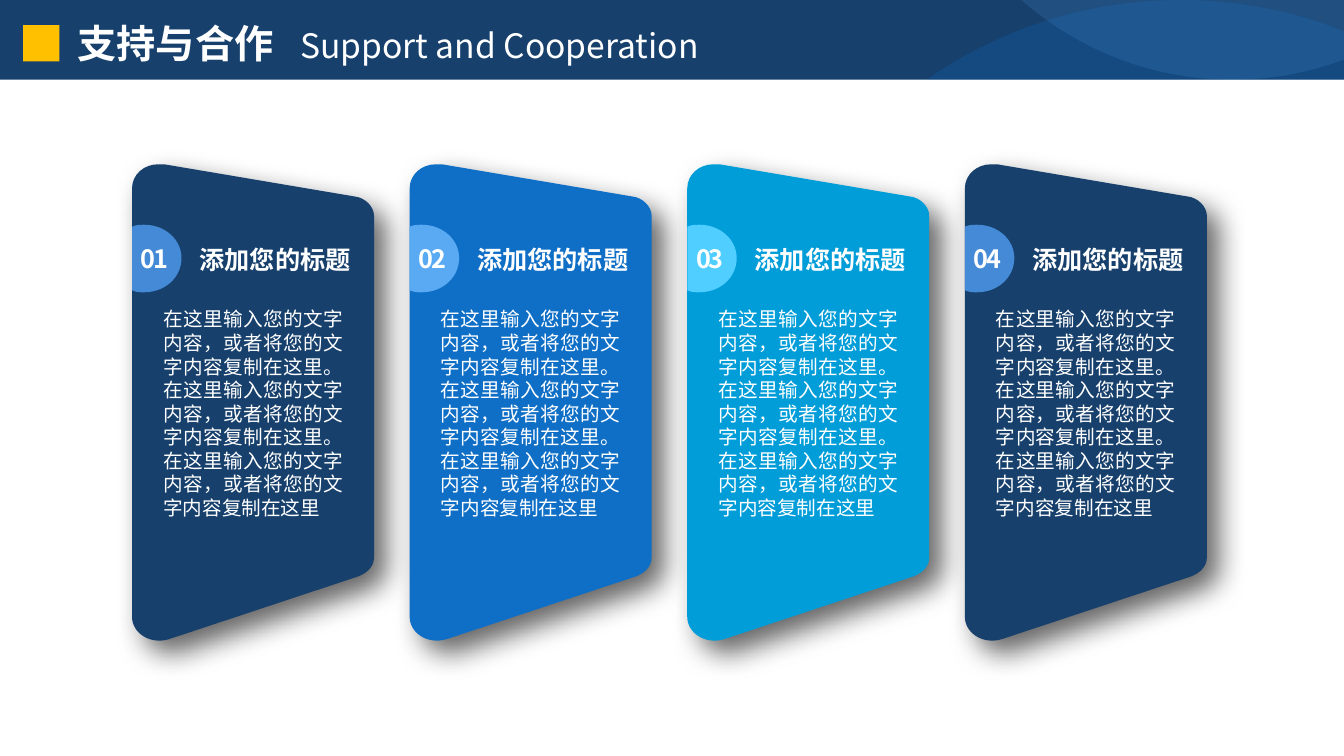
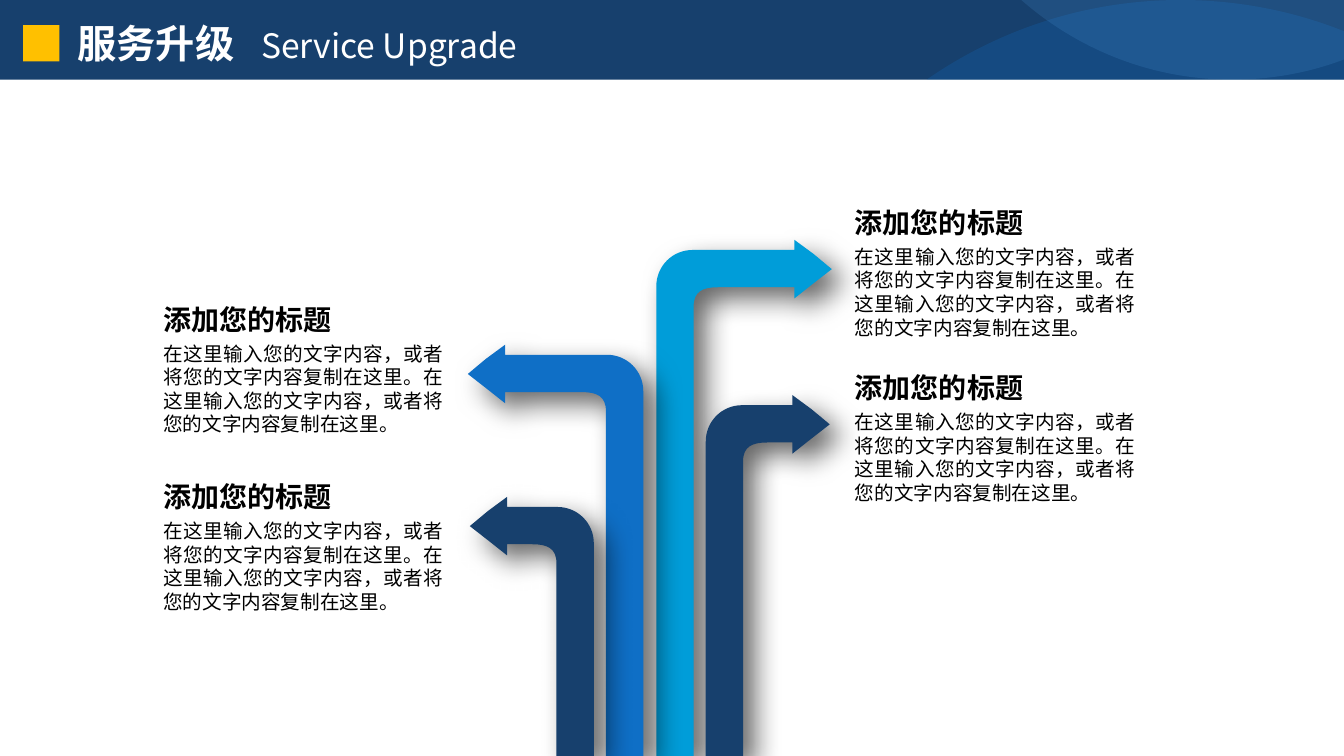
"""Build two slides: a row of support cards and a set of service arrows."""
import lxml.etree
import pptx
import pptx.dml.color
import pptx.enum.shapes
import pptx.enum.text
import pptx.oxml.ns
import pptx.util

Inches = pptx.util.Inches
Pt = pptx.util.Pt
qn = pptx.oxml.ns.qn
ALIGN = pptx.enum.text.PP_ALIGN
RECTANGLE = pptx.enum.shapes.MSO_SHAPE.RECTANGLE
FONT = "Noto Sans CJK SC"
COLORS = {
    "navy": "17406D", "blue": "0F6FC6", "cyan": "009DD9", "gold": "FFC000",
    "navy_badge": "448AD7", "blue_badge": "59AAF2", "cyan_badge": "4FCEFF",
    "white": "FFFFFF", "black": "000000",
}
WIDTH, HEIGHT = 13.33, 7.5
BAND_HEIGHT = 0.79
HEADING = "添加您的标题"
SENTENCE = "在这里输入您的文字内容，或者将您的文字内容复制在这里。"
FIRST_CARD, LAST_CARD, CARD_TOP = 1.31, 9.57, 1.63
CARDS = ["navy", "blue", "cyan", "navy"]
ARROWS = [
    (6.51, 2.38, 1.74, 1, "cyan"),
    (7, 3.92, 1.23, 1, "navy"),
    (6.38, 3.42, 1.74, -1, "blue"),
    (5.89, 4.93, 1.23, -1, "navy"),
]
TOPICS = [(8.38, 1.99), (8.38, 3.63), (1.52, 2.95), (1.52, 4.71)]

BAND_HILL = [(11.71, 0), (12.28, 0, 12.83, 0.11, 13.33, 0.31),
             (13.33, 0.79), (9.19, 0.79), (9.91, 0.29, 10.78, 0, 11.71, 0)]
BAND_BOWL = [(13.33, 0), (13.33, 0.59), (12.99, 0.72, 12.61, 0.79, 12.22, 0.79),
             (11.42, 0.79, 10.69, 0.49, 10.13, 0), (13.33, 0)]
CARD_PANEL = [(0.26, 0), (0.28, 0, 0.3, 0, 0.32, 0),
              (2.21, 0.32), (2.31, 0.33, 2.4, 0.42, 2.4, 0.51),
              (2.4, 1.17), (2.4, 3.24), (2.4, 3.9), (2.4, 4, 2.32, 4.06, 2.24, 4.09),
              (0.37, 4.71), (0.18, 4.77, 0, 4.65, 0, 4.49),
              (0, 3.83), (0, 0.9), (0, 0.24), (0, 0.1, 0.12, 0, 0.26, 0)]
CARD_BADGE = [(0.12, 1.27), (0.08, 1.27, 0.04, 1.27, 0, 1.25),
              (0, 0.62), (0.04, 0.6, 0.08, 0.6, 0.12, 0.6),
              (0.33, 0.6, 0.49, 0.75, 0.49, 0.93), (0.49, 1.12, 0.33, 1.27, 0.12, 1.27)]


def rgb(color):
    """Return the named colour."""
    return pptx.dml.color.RGBColor.from_string(COLORS[color])


def add_xml(parent, tag, **attributes):
    """Append a drawing element and return it."""
    return lxml.etree.SubElement(parent, qn(tag), attributes)


def paint(shape, color, opacity=100, shadow=False):
    """Fill a shape without outline, optionally see-through or shadowed."""
    shape.fill.solid()
    shape.fill.fore_color.rgb = rgb(color)
    shape.line.fill.background()
    shape.shadow.inherit = False
    properties = shape.element.spPr
    if opacity < 100:
        solid = properties.find(".//" + qn("a:srgbClr"))
        add_xml(solid, "a:alpha", val=str(opacity * 1000))
    if shadow:
        effects = properties.find(qn("a:effectLst"))
        cast = add_xml(effects, "a:outerShdw", blurRad=str(Pt(20)), dist=str(Pt(12)),
                       dir="2700000", algn="tl", rotWithShape="0")
        tint = add_xml(cast, "a:srgbClr", val=COLORS["black"])
        add_xml(tint, "a:alpha", val="60000")


def add_rectangle(shapes, left, top, width, height, color):
    """Add a plain rectangle."""
    paint(shapes.add_shape(RECTANGLE, Inches(left), Inches(top),
                           Inches(width), Inches(height)), color)


def add_outline(shapes, outline, color, left=0, top=0, side=1, **look):
    """Add an outline of lines and cubic curves, mirrored when side is -1."""
    parts = [[(Inches(left + side * x), Inches(top + y)) for x, y in zip(part[::2], part[1::2])]
             for part in outline]
    builder = shapes.build_freeform(*parts[0][0])
    builder.add_line_segments([part[-1] for part in parts[1:]], close=True)
    shape = builder.convert_to_shape()
    segments = list(shape.element.spPr.find(".//" + qn("a:path")))
    for segment, part in zip(segments, parts):
        if len(part) == 3:
            segment.clear()
            segment.tag = qn("a:cubicBezTo")
            for x, y in part:
                add_xml(segment, "a:pt", x=str(x - shape.left), y=str(y - shape.top))
    paint(shape, color, **look)


def style_run(run, size, color, bold=False):
    """Set the font of a run for Latin and Chinese text."""
    run.font.size = Pt(size)
    run.font.bold = bold
    run.font.color.rgb = rgb(color)
    run.font.name = FONT
    add_xml(run.font._element, "a:ea", typeface=FONT)


def add_text(slide, text, box, size, color, bold=False, align=ALIGN.JUSTIFY, inset=True):
    """Add a wrapped one-paragraph text box and return its run."""
    frame = slide.shapes.add_textbox(*map(Inches, box)).text_frame
    frame.word_wrap = True
    if not inset:
        frame.margin_left = frame.margin_right = frame.margin_top = frame.margin_bottom = 0
    paragraph = frame.paragraphs[0]
    paragraph.text = text
    paragraph.alignment = align
    paragraph.line_spacing = Pt(size * 1.2)
    run = paragraph.runs[0]
    style_run(run, size, color, bold)
    return run


def move_band_to_layout(slide):
    """Draw the header band and hand it to the layout of the slide."""
    layout = slide.slide_layout
    for placeholder in list(layout.placeholders)[1:]:
        placeholder.element.getparent().remove(placeholder.element)
    add_rectangle(slide.shapes, 0, 0, WIDTH, BAND_HEIGHT, "navy")
    add_outline(slide.shapes, BAND_HILL, "blue", opacity=23)
    add_outline(slide.shapes, BAND_BOWL, "blue_badge", opacity=15)
    add_rectangle(slide.shapes, 0.23, 0.25, 0.36, 0.36, "gold")
    for shape in list(slide.shapes):
        if not shape.is_placeholder:
            layout.shapes.element.append(shape.element)


def set_title(slide, chinese, english):
    """Write the two-language title, its parts set apart by a tab stop."""
    title = slide.shapes.title
    title.left, title.top, title.width, title.height = map(Inches, (0.67, 0.14, 7.27, 0.57))
    frame = title.text_frame
    frame.auto_size = pptx.enum.text.MSO_AUTO_SIZE.NONE
    frame.vertical_anchor = pptx.enum.text.MSO_ANCHOR.TOP
    paragraph = frame.paragraphs[0]
    paragraph.alignment = ALIGN.LEFT
    paragraph.line_spacing = Pt(33.6)
    tabs = add_xml(paragraph._p.get_or_add_pPr(), "a:tabLst")
    add_xml(tabs, "a:tab", pos=str(Pt(28 * len(chinese) + 19)), algn="l")
    for text, size, bold in ((chinese + "\t", 28, True), (english, 24, False)):
        run = paragraph.add_run()
        run.text = text
        style_run(run, size, "white", bold)


def add_card(slide, left, number, color):
    """Add a numbered card with heading and description."""
    add_outline(slide.shapes, CARD_PANEL, color, left, CARD_TOP, shadow=True)
    add_outline(slide.shapes, CARD_BADGE, color + "_badge", left, CARD_TOP)
    label = add_text(slide, f"{number:02}", (left + 0.06, 2.41, 0.33, 0.3), 18, "white",
                     bold=True, align=ALIGN.CENTER, inset=False)
    label.font._element.set("spc", "-150")
    add_text(slide, (SENTENCE * 3)[:-1], (left + 0.21, 3, 1.98, 2.22), 14, "white")
    add_text(slide, HEADING, (left + 0.57, 2.37, 1.88, 0.4), 18, "white", bold=True)


def add_bent_arrow(slide, left, top, reach, side, color):
    """Add an arrow that rises from the slide's foot and bends sideways."""
    foot, neck, middle = HEIGHT - top, reach - 0.37, reach - 0.18
    outline = [(0.36, 0.1), (neck, 0.1), (neck, 0), (middle, 0.14), (reach, 0.29),
               (middle, 0.43), (neck, 0.58), (neck, 0.47), (0.61, 0.47),
               (0.46, 0.47, 0.37, 0.51, 0.37, 0.66),
               (0.37, foot), (0, foot), (0, 0.46), (0, 0.26, 0.16, 0.1, 0.36, 0.1)]
    add_outline(slide.shapes, outline, color, left, top, side, shadow=True)


def add_topic(slide, left, top):
    """Add a heading with its description below."""
    add_text(slide, SENTENCE * 2, (left, top + 0.39, 2.98, 1.04), 14, "black")
    add_text(slide, HEADING, (left, top, 2.98, 0.44), 20, "black", bold=True, align=ALIGN.LEFT)


def main():
    """Build and save the presentation."""
    deck = pptx.Presentation()
    deck.slide_width, deck.slide_height = Inches(WIDTH), Inches(HEIGHT)
    title_only = deck.slide_layouts[5]

    support = deck.slides.add_slide(title_only)
    move_band_to_layout(support)
    set_title(support, "支持与合作", "Support and Cooperation")
    card_step = (LAST_CARD - FIRST_CARD) / (len(CARDS) - 1)
    for index, color in enumerate(CARDS):
        add_card(support, FIRST_CARD + index * card_step, index + 1, color)

    service = deck.slides.add_slide(title_only)
    set_title(service, "服务升级", "Service Upgrade")
    for arrow in ARROWS:
        add_bent_arrow(service, *arrow)
    for topic in TOPICS:
        add_topic(service, *topic)

    deck.save("out.pptx")


if __name__ == "__main__":
    main()
